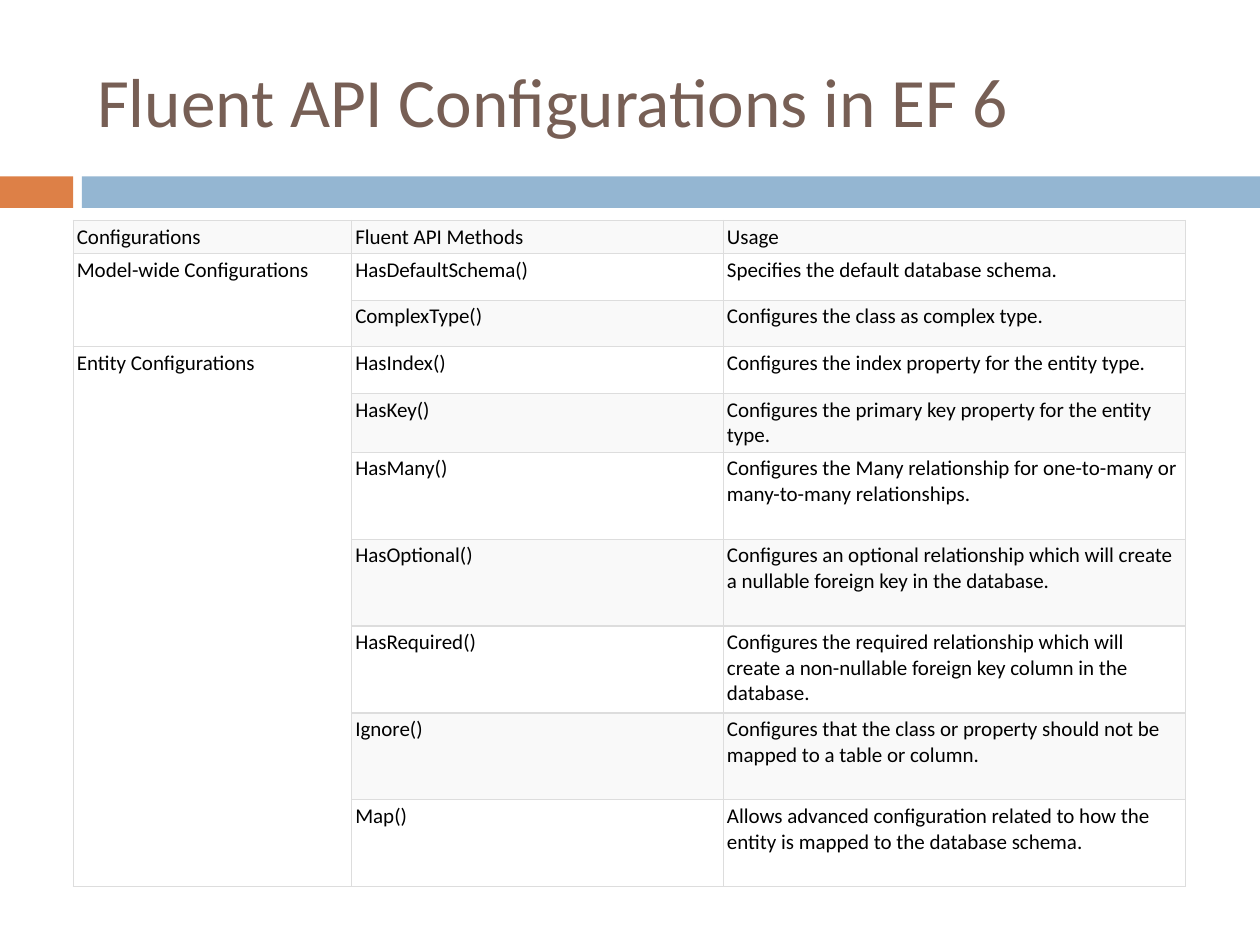
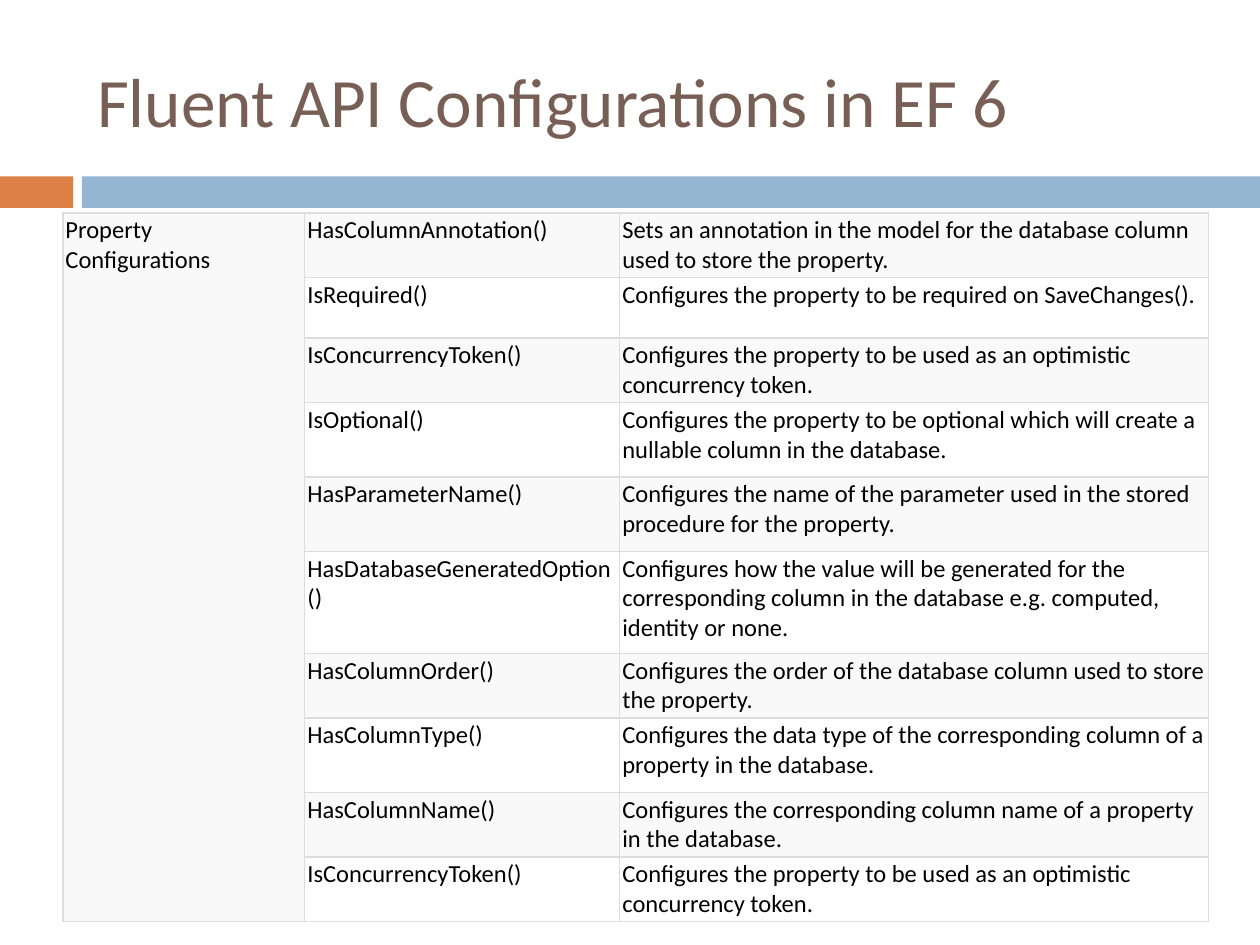
from lxml.etree import SubElement
from pptx import Presentation
from pptx.dml.color import RGBColor
from pptx.enum.shapes import MSO_SHAPE
from pptx.enum.text import MSO_ANCHOR, MSO_AUTO_SIZE, PP_ALIGN
from pptx.oxml.ns import qn
from pptx.util import Inches, Pt

BROWN = RGBColor(0x77, 0x5F, 0x55)
ORANGE = RGBColor(0xDD, 0x80, 0x47)
BLUE = RGBColor(0x94, 0xB6, 0xD2)
BLACK = RGBColor(0x00, 0x00, 0x00)
WHITE = RGBColor(0xFF, 0xFF, 0xFF)
STRIPE = RGBColor(0xF9, 0xF9, 0xF9)
BORDER = RGBColor(0xDD, 0xDD, 0xDD)
FONT = "Calibri"
TITLE = "Fluent API Configurations in EF 6"
TITLE_ONLY = 5

# Each row: group (empty when it continues the one above), method, usage, height
OVERVIEW_ROWS = [
    ("Configurations", "Fluent API Methods", "Usage", 0.21),
    ("Model-wide Configurations", "HasDefaultSchema()",
     "Specifies the default database schema.", 0.37),
    ("", "ComplexType()", "Configures the class as complex type.", 0.37),
    ("Entity Configurations", "HasIndex()",
     "Configures the index property for the entity type.", 0.37),
    ("", "HasKey()", "Configures the primary key property for the entity type.", 0.37),
    ("", "HasMany()", "Configures the Many relationship for one-to-many or "
     "many-to-many relationships.", 0.69),
    ("", "HasOptional()", "Configures an optional relationship which will create "
     "a nullable foreign key in the database.", 0.69),
    ("", "HasRequired()", "Configures the required relationship which will create "
     "a non-nullable foreign key column in the database.", 0.69),
    ("", "Ignore()", "Configures that the class or property should not be "
     "mapped to a table or column.", 0.69),
    ("", "Map()", "Allows advanced configuration related to how the "
     "entity is mapped to the database schema.", 0.69),
]
CONCURRENCY = "Configures the property to be used as an optimistic concurrency token."
PROPERTY_ROWS = [
    ("Property Configurations", "HasColumnAnnotation()",
     "Sets an annotation in the model for the database column "
     "used to store the property.", 0.48),
    ("", "IsRequired()", "Configures the property to be required on SaveChanges().", 0.48),
    ("", "IsConcurrencyToken()", CONCURRENCY, 0.48),
    ("", "IsOptional()", "Configures the property to be optional which will create "
     "a nullable column in the database.", 0.59),
    ("", "HasParameterName()", "Configures the name of the parameter used in the "
     "stored procedure for the property.", 0.59),
    ("", "HasDatabaseGeneratedOption()", "Configures how the value will be generated "
     "for the corresponding column in the database e.g. computed, identity or none.", 0.81),
    ("", "HasColumnOrder()", "Configures the order of the database column used to "
     "store the property.", 0.48),
    ("", "HasColumnType()", "Configures the data type of the corresponding column "
     "of a property in the database.", 0.59),
    ("", "HasColumnName()", "Configures the corresponding column name of a property "
     "in the database.", 0.48),
    ("", "IsConcurrencyToken()", CONCURRENCY, 0.48),
]

# Each page: table left, top, column widths, text size, cell margin, rows
PAGES = [
    (0.58, 1.75, (2.21, 2.95, 3.67), 12, 0.03, OVERVIEW_ROWS),
    (0.5, 1.69, (1.92, 2.5, 4.67), 14, 0.02, PROPERTY_ROWS),
]


def format_cell(cell, fill, size, margin):
    """Apply borders, then fill (the order the file format needs), margins and font."""
    properties = cell._tc.get_or_add_tcPr()
    for side in ("a:lnL", "a:lnR", "a:lnT", "a:lnB"):
        line = SubElement(properties, qn(side), w=str(Pt(0.75)))
        SubElement(SubElement(line, qn("a:solidFill")), qn("a:srgbClr"), val=str(BORDER))
    cell.fill.solid()
    cell.fill.fore_color.rgb = fill
    cell.margin_left = cell.margin_right = Inches(margin)
    cell.margin_top = cell.margin_bottom = Inches(margin)
    for span in cell.text_frame.paragraphs[0].runs:
        span.font.name, span.font.size = FONT, Pt(size)
        span.font.color.rgb = BLACK


deck = Presentation()
deck.slide_width, deck.slide_height = Inches(10), Inches(7.5)
layout = deck.slide_layouts[TITLE_ONLY]
heading = layout.placeholders[0]
heading.left, heading.top = Inches(0.67), Inches(0.25)
heading.width, heading.height = Inches(8.92), Inches(1.08)
pages = [deck.slides.add_slide(layout) for _ in PAGES]

# The two bands are drawn once and moved to the shared layout
for left, width, color in ((0, 0.58, ORANGE), (0.65, 9.35, BLUE)):
    band = pages[0].shapes.add_shape(
        MSO_SHAPE.RECTANGLE, Inches(left), Inches(1.4), Inches(width), Inches(0.25))
    band.shadow.inherit = False
    band.fill.solid()
    band.fill.fore_color.rgb = color
    band.line.fill.background()
    layout.shapes.element.append(band.element)

for page, (left, top, widths, size, margin, rows) in zip(pages, PAGES):
    frame = page.shapes.title.text_frame
    frame.text = TITLE
    frame.auto_size = MSO_AUTO_SIZE.NONE
    frame.vertical_anchor = MSO_ANCHOR.MIDDLE
    para = frame.paragraphs[0]
    para.alignment = PP_ALIGN.LEFT
    span = para.runs[0]
    span.font.name, span.font.size = FONT, Pt(39.6)
    span.font.color.rgb = BROWN

    heights = [row[-1] for row in rows]
    table = page.shapes.add_table(
        len(rows), len(widths), Inches(left), Inches(top),
        Inches(sum(widths)), Inches(sum(heights))).table
    table.first_row = table.horz_banding = False
    for column, width in zip(table.columns, widths):
        column.width = Inches(width)

    for row_index, (*texts, height) in enumerate(rows):
        table.rows[row_index].height = Inches(height)
        for column_index, text in enumerate(texts):
            cell = table.cell(row_index, column_index)
            cell.text = text
            format_cell(cell, WHITE if row_index % 2 else STRIPE, size, margin)

    group_starts = [index for index, row in enumerate(rows) if row[0]] + [len(rows)]
    for start, end in zip(group_starts, group_starts[1:]):
        if end - start > 1:
            table.cell(start, 0).merge(table.cell(end - 1, 0))

deck.save("out.pptx")
